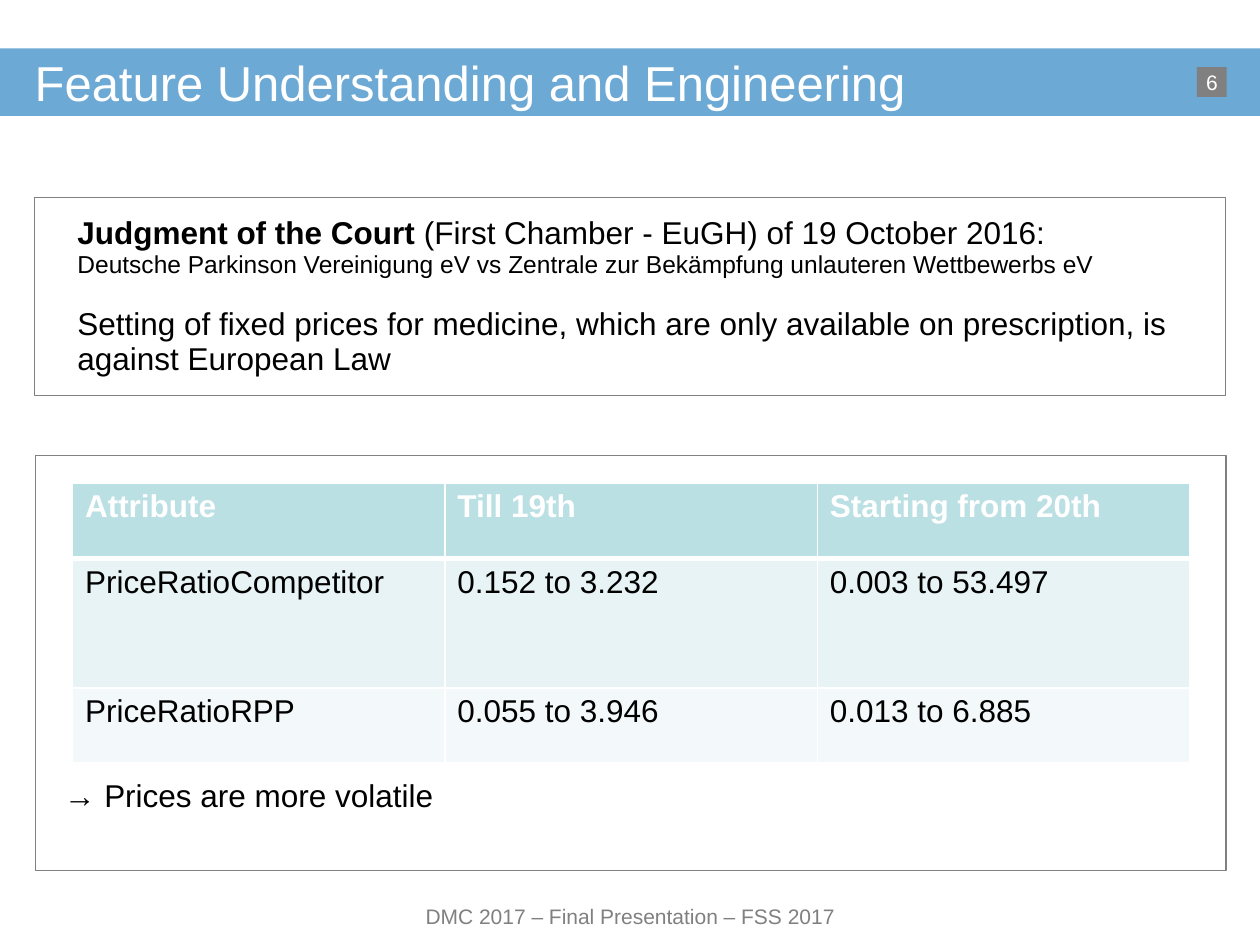
from dataclasses import dataclass
from lxml.etree import SubElement
from pptx import Presentation
from pptx.dml.color import RGBColor
from pptx.enum.shapes import MSO_SHAPE
from pptx.enum.text import MSO_ANCHOR, PP_ALIGN
from pptx.oxml import parse_xml
from pptx.oxml.ns import nsdecls, qn
from pptx.util import Pt


@dataclass(frozen=True)
class Theme:
    font: str = "Arial"
    bar: str = "0B70B8"
    bar_opacity: int = 60
    gray: str = "808080"
    white: str = "FFFFFF"
    black: str = "000000"
    header: str = "BBE0E3"
    bands: tuple = ("E7F3F4", "F3F9FA")
    title: int = 28
    body: int = 18
    detail: int = 14
    small: int = 12


class SlideBuilder:
    """Draws styled elements, measured in points, on one slide."""

    def __init__(self, page, theme):
        self.page = page
        self.theme = theme

    def paragraph(self, frame, spans, first=True, align=PP_ALIGN.LEFT, space_before=0):
        para = frame.paragraphs[0] if first else frame.add_paragraph()
        for name, value in {"alignment": align, "space_before": Pt(space_before)}.items():
            setattr(para, name, value)
        for text, size, color, bold in spans:
            span = para.add_run()
            span.text = text
            formats = {"name": self.theme.font, "size": Pt(size), "bold": bold}
            for name, value in formats.items():
                setattr(span.font, name, value)
            span.font.color.rgb = RGBColor.from_string(color)

    def frame(self, frame, anchor=MSO_ANCHOR.MIDDLE, wrap=True, inset=(0, 0)):
        across, down = map(Pt, inset)
        formats = {
            "vertical_anchor": anchor, "word_wrap": wrap,
            "margin_left": across, "margin_right": across,
            "margin_top": down, "margin_bottom": down,
        }
        for name, value in formats.items():
            setattr(frame, name, value)
        return frame

    def text(self, place, text, size, color, align=PP_ALIGN.LEFT, **layout):
        box = self.page.shapes.add_textbox(*map(Pt, place))
        self.paragraph(self.frame(box.text_frame, **layout), [(text, size, color, False)], align=align)

    def rectangle(self, place, fill=None, line=None, opacity=100):
        box = self.page.shapes.add_shape(MSO_SHAPE.RECTANGLE, *map(Pt, place))
        box.shadow.inherit = False
        if fill:
            box.fill.solid()
            box.fill.fore_color.rgb = RGBColor.from_string(fill)
            if opacity < 100:
                color = box.fill._xPr.find(qn("a:solidFill"))[0]
                SubElement(color, qn("a:alpha"), val=str(opacity * 1000))
        else:
            box.fill.background()
        if line:
            box.line.color.rgb = RGBColor.from_string(line)
            box.line.width = Pt(0.75)
        else:
            box.line.fill.background()
        return box

    def badge(self, place, text):
        box = self.rectangle(place, fill=self.theme.gray)
        self.paragraph(self.frame(box.text_frame, wrap=False),
                       [(text, self.theme.small, self.theme.white, False)], align=PP_ALIGN.CENTER)

    def table(self, place, columns, rows):
        shape = self.page.shapes.add_table(len(rows), len(columns), *map(Pt, place))
        table = shape.table
        table.first_row = table.horz_banding = False
        for column, width in zip(table.columns, columns):
            column.width = Pt(width)
        for row, height in zip(table.rows, rows):
            row.height = Pt(height)
        return table

    def borders(self, cell, left=0, right=0, top=0, bottom=0):
        properties = cell._tc.get_or_add_tcPr()
        for index, (side, width) in enumerate(zip("LRTB", (left, right, top, bottom))):
            paint = (f'<a:solidFill><a:srgbClr val="{self.theme.white}"/></a:solidFill>'
                     if width else "<a:noFill/>")
            properties.insert(index, parse_xml(
                f'<a:ln{side} {nsdecls("a")} w="{Pt(width)}">{paint}</a:ln{side}>'))

    def judgment(self, place, indent, paragraphs):
        left, top, width, height = place
        table = self.table(place, (indent, width - indent), (height,))
        for cell in table.iter_cells():
            cell.fill.background()
            self.borders(cell)
        cell = table.cell(0, 1)
        cell.vertical_anchor = MSO_ANCHOR.MIDDLE
        for index, (spans, gap) in enumerate(paragraphs):
            self.paragraph(cell.text_frame, spans, first=index == 0, space_before=gap)

    def comparison(self, place, heights, records):
        width = place[2] / len(records[0])
        table = self.table(place, [width] * len(records[0]), heights)
        fills = (self.theme.header, *self.theme.bands)
        for row, (record, fill) in enumerate(zip(records, fills)):
            header = row == 0
            color = self.theme.white if header else self.theme.black
            for column, text in enumerate(record):
                cell = table.cell(row, column)
                cell.fill.solid()
                cell.fill.fore_color.rgb = RGBColor.from_string(fill)
                self.borders(cell, 1, 1, 3 if row == 1 else 1, 3 if header else 1)
                self.paragraph(cell.text_frame, [(text, self.theme.body, color, header)])


def main():
    theme = Theme()
    deck = Presentation()
    deck.slide_width, deck.slide_height = Pt(720), Pt(540)
    builder = SlideBuilder(deck.slides.add_slide(deck.slide_layouts[6]), theme)

    margin, content = 19.8, 680.4
    bar_top, bar_height = 27.6, 38.7
    court_panel = (margin, 113, content, 113)

    builder.rectangle((0, bar_top, 720, bar_height), fill=theme.bar, opacity=theme.bar_opacity)
    builder.text((margin, bar_top, content, bar_height),
                 "Feature Understanding and Engineering", theme.title, theme.white)
    builder.text((190, 513.5, 340.5, 20), "DMC 2017 – Final Presentation – FSS 2017",
                 theme.small, theme.gray, PP_ALIGN.CENTER)
    builder.badge((684, 38.4, 17, 17), "6")
    builder.text((29.5, 440, 250.5, 29), "→ Prices are more volatile", theme.body, theme.black,
                 anchor=MSO_ANCHOR.TOP, inset=(7.2, 3.6))
    for place in ((margin + 0.4, 260.5, content, 236.8), court_panel):
        builder.rectangle(place, line=theme.gray)

    builder.judgment(court_panel, 17, [
        ([("Judgment of the Court ", theme.body, theme.black, True),
          ("(First Chamber - EuGH) of 19 October 2016:", theme.body, theme.black, False)], 0),
        ([("Deutsche Parkinson Vereinigung eV vs Zentrale zur Bekämpfung unlauteren Wettbewerbs eV",
           theme.detail, theme.black, False)], 0),
        ([("Setting of fixed prices for medicine, which are only available on prescription, "
           "is against European Law", theme.body, theme.black, False)], 16),
    ])
    builder.comparison((41.4, 276, 638.4, 160.2), (43, 74.2, 43), [
        ("Attribute", "Till 19th", "Starting from 20th"),
        ("PriceRatioCompetitor", "0.152 to 3.232", "0.003 to 53.497"),
        ("PriceRatioRPP", "0.055 to 3.946", "0.013 to 6.885"),
    ])
    deck.save("out.pptx")


if __name__ == "__main__":
    main()
